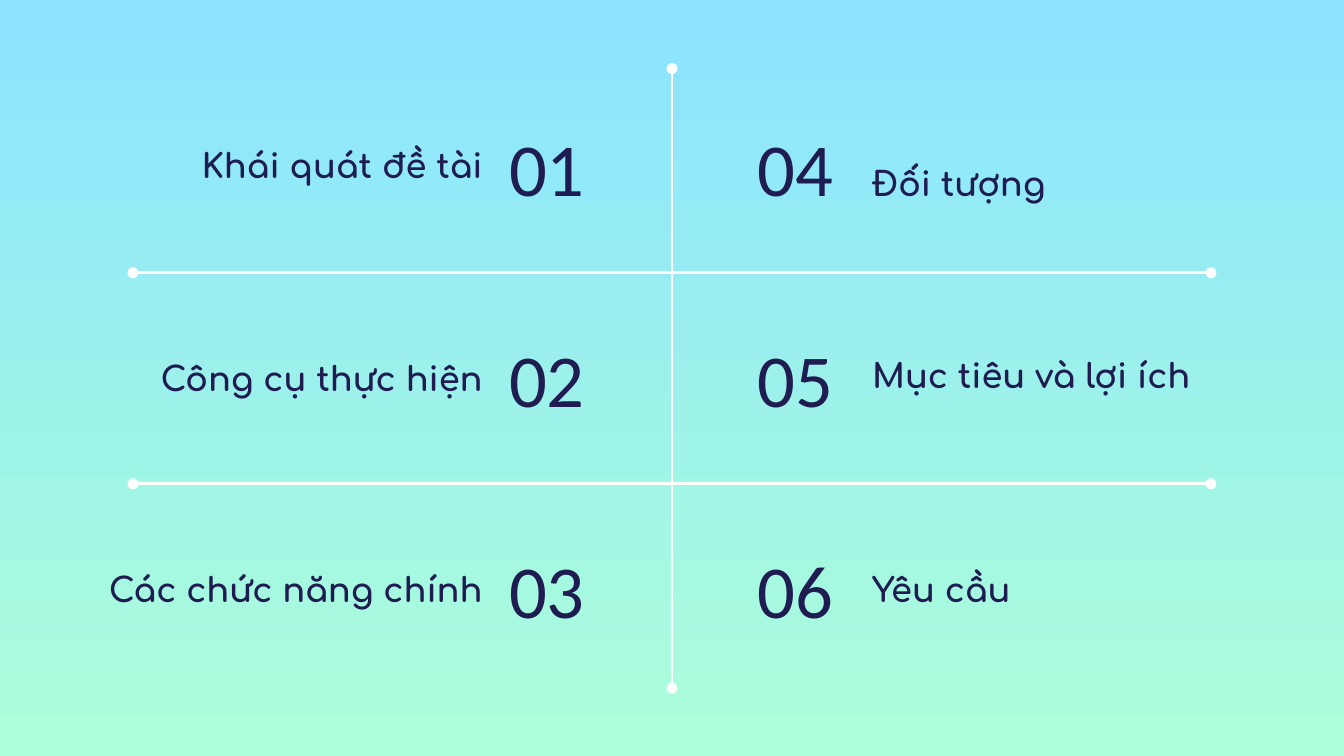
from lxml import etree
from pptx import Presentation
from pptx.dml.color import RGBColor
from pptx.enum import shapes, text
from pptx.oxml import ns
from pptx.util import Inches, Pt

INK, WHITE = "1F1C51", "FFFFFF"
SKY, MINT = "8BE3FF", "ACFFD9"
LEFT, RIGHT = text.PP_ALIGN.LEFT, text.PP_ALIGN.RIGHT
MIDDLE, BOTTOM = text.MSO_ANCHOR.MIDDLE, text.MSO_ANCHOR.BOTTOM
PAGE_WIDTH = 10
PAGE_HEIGHT = PAGE_WIDTH * 9 / 16

LEFT_TOPICS = [
    ("01", "Khái quát đề tài", 0.98, 2.98, 0.5),
    ("02", "Công cụ thực hiện", 2.56, 2.98, 0.5),
    ("03", "Các chức năng chính", 4.13, 3.16, 0.5),
]
RIGHT_TOPICS = [
    ("04", "Đối tượng", 0.85, 3.37, 0.76),
    ("05", "Mục tiêu và lợi ích", 2.54, 2.98, 0.5),
    ("06", "Yêu cầu", 4.13, 2.98, 0.5),
]
RULES = [
    (5, 0.51, 5, 5.12),
    (0.99, 2.03, 9.01, 2.03),
    (0.99, 3.6, 9.01, 3.6),
]
FIRST_ROW, ROW_STEP = 0.81, 1.57
NUMBER_WIDTH, NUMBER_HEIGHT = 1.3, 0.86
LEFT_NUMBERS, RIGHT_NUMBERS, RIGHT_LABELS = 3.69, 5, 6.39


def color(value):
    return RGBColor.from_string(value)


def add_text(page, words, place, align, anchor, font, size, bold=False):
    box = page.shapes.add_textbox(*map(Inches, place))
    frame = box.text_frame
    frame.word_wrap = True
    frame.vertical_anchor = anchor
    frame.margin_left = frame.margin_right = Inches(0.1)
    frame.margin_top = frame.margin_bottom = Inches(0.1)
    para = frame.paragraphs[0]
    para.alignment = align
    span = para.add_run()
    span.text = words
    span.font.name = font
    span.font.size = Pt(size)
    span.font.bold = bold
    span.font.color.rgb = color(INK)


def add_rule(page, ends):
    rule = page.shapes.add_connector(
        shapes.MSO_CONNECTOR.STRAIGHT, *map(Inches, ends))
    rule.line.color.rgb = color(WHITE)
    rule.line.width = Pt(1.5)
    properties = rule._element.spPr
    outline = properties.find(ns.qn("a:ln"))
    for end in ("a:headEnd", "a:tailEnd"):
        etree.SubElement(outline, ns.qn(end), type="oval")
    etree.SubElement(properties, ns.qn("a:effectLst"))


def add_topics(page, topics, number_left, number_align, label_align):
    for row, (number, label, top, width, height) in enumerate(topics):
        number_top = FIRST_ROW + row * ROW_STEP
        add_text(page, number,
                 (number_left, number_top, NUMBER_WIDTH, NUMBER_HEIGHT),
                 number_align, MIDDLE, "Calibri", 40)
        label_left = RIGHT_LABELS if label_align == LEFT else number_left - width
        add_text(page, label, (label_left, top, width, height),
                 label_align, BOTTOM, "Comfortaa", 18, bold=True)


def main():
    deck = Presentation()
    deck.slide_width, deck.slide_height = Inches(PAGE_WIDTH), Inches(PAGE_HEIGHT)
    page = deck.slides.add_slide(deck.slide_layouts[6])

    fill = page.background.fill
    fill.gradient()
    fill.gradient_angle = 270
    for stop, shade in zip(fill.gradient_stops, (SKY, MINT)):
        stop.color.rgb = color(shade)

    for ends in RULES:
        add_rule(page, ends)
    add_topics(page, LEFT_TOPICS, LEFT_NUMBERS, LEFT, RIGHT)
    add_topics(page, RIGHT_TOPICS, RIGHT_NUMBERS, RIGHT, LEFT)

    deck.save("out.pptx")


if __name__ == "__main__":
    main()
